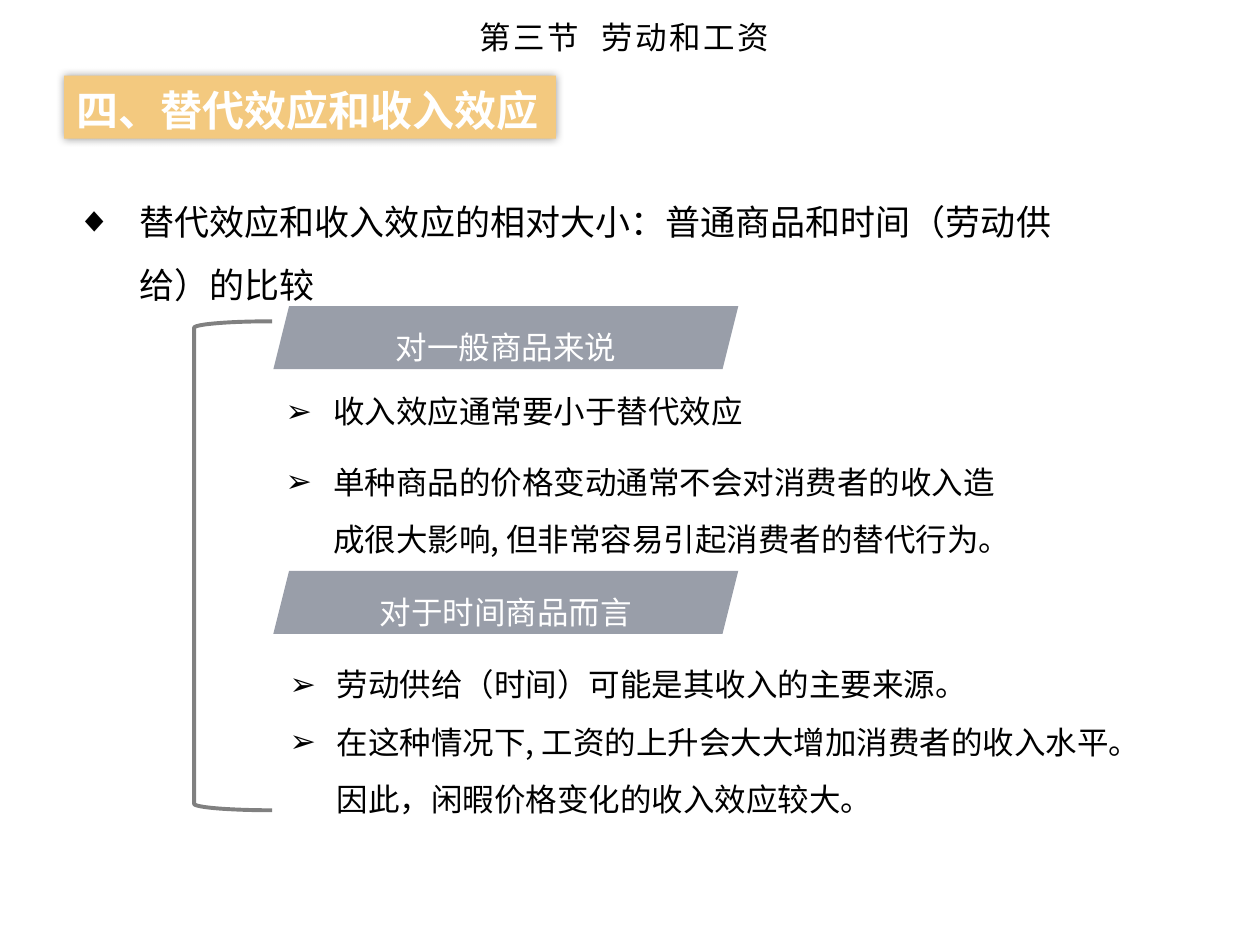
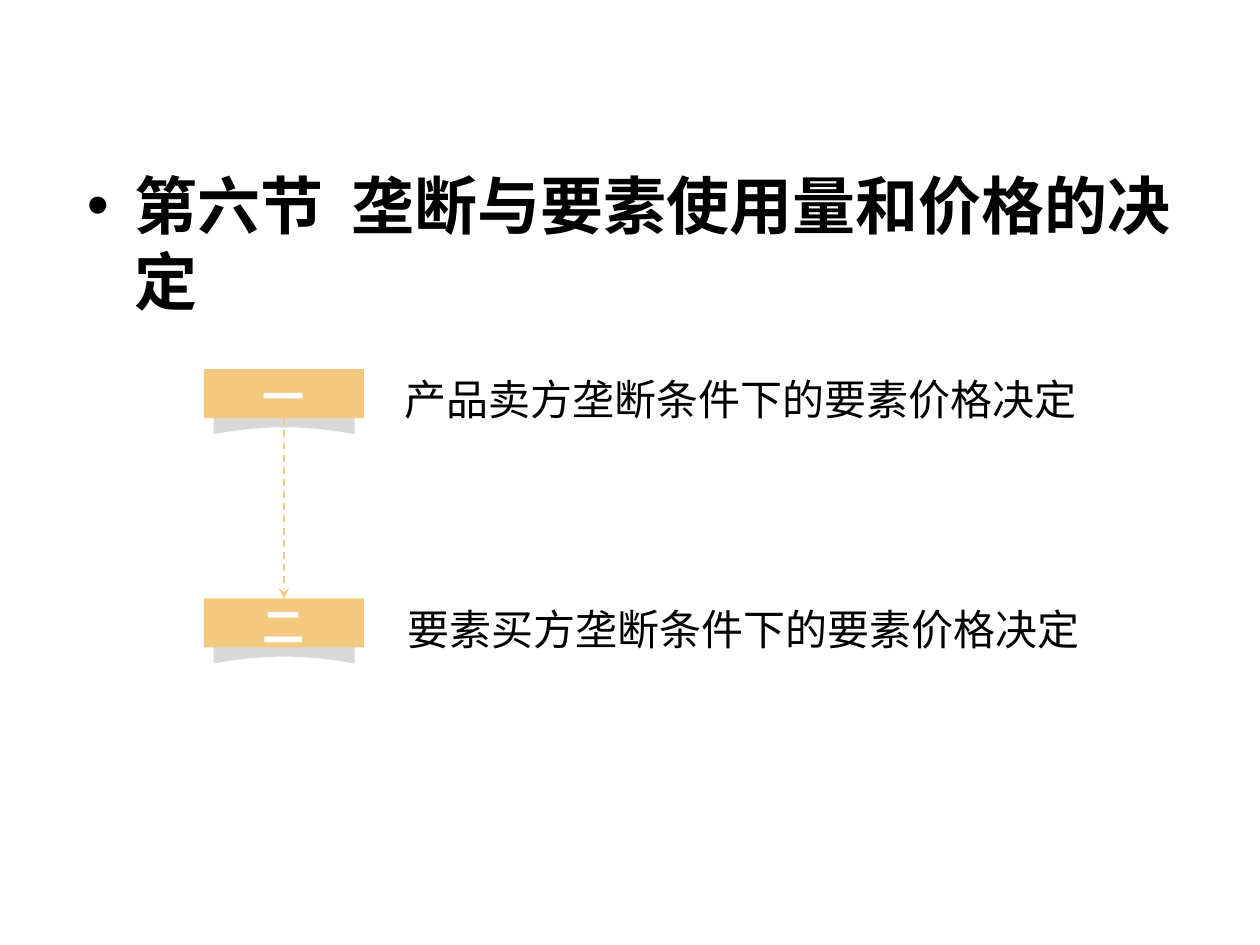
import pptx
import pptx.util
import pptx.dml.color
import pptx.enum.dml
import pptx.enum.shapes
import pptx.enum.text
import pptx.oxml
import pptx.oxml.ns

Pt = pptx.util.Pt
KIND = pptx.enum.shapes.MSO_SHAPE
ALIGN = pptx.enum.text.PP_ALIGN
FONT = "Noto Sans CJK SC"
HUE = {"gold": "F3C97F", "slate": "999EA9", "gray": "808080",
       "fold": "D9D9D9", "black": "000000", "white": "FFFFFF"}
LEAD = 1.21  # line height per point of type

# Content
WAGES = "第三节  劳动和工资"
BANNER = "四、替代效应和收入效应"
POINT = "替代效应和收入效应的相对大小：普通商品和时间（劳动供给）的比较"
# heading, its top, list box, right inset, space before, list items
GROUPS = [
    ("对一般商品来说", 175, (156.2, 219, 430, 99), 7.2, 7.4,
     ["收入效应通常要小于替代效应",
      "单种商品的价格变动通常不会对消费者的收入造成很大影响, "
      "但非常容易引起消费者的替代行为。"]),
    ("对于时间商品而言", 326.2, (158.4, 375, 506, 117), 27, 0,
     ["劳动供给（时间）可能是其收入的主要来源。",
      "在这种情况下, 工资的上升会大大增加消费者的收入水平。"
      "因此，闲暇价格变化的收入效应较大。"]),
]
POWER = "第六节  垄断与要素使用量和价格的决定"
# number, its top, text, text left
STEPS = [("一", 211, "产品卖方垄断条件下的要素价格决定", 224),
         ("二", 342, "要素买方垄断条件下的要素价格决定", 226)]
TAG = (116.6, 91.4, 28)  # left, width, height of a number tag


def rgb(name):
    return pptx.dml.color.RGBColor.from_string(HUE[name])


def xml(tag, inner="", **attrs):
    """Make one drawing element."""
    text = "".join(f' {k}="{v}"' for k, v in attrs.items())
    space = pptx.oxml.ns.nsdecls("a")
    return pptx.oxml.parse_xml(f"<a:{tag} {space}{text}>{inner}</a:{tag}>")


def place(shape, box):
    shape.left, shape.top, shape.width, shape.height = map(Pt, box)


def write(shape, items, size, hue="black", bold=False, align=ALIGN.LEFT,
          top=5, left=7.2, right=7.2, wrap=True, mark=None, hang=0,
          wide=(1,), gap=0, track=0):
    """Fill a shape with paragraphs; wide holds a line factor for each."""
    frame = shape.text_frame
    frame.auto_size = pptx.enum.text.MSO_AUTO_SIZE.NONE
    frame.word_wrap = wrap
    frame.vertical_anchor = pptx.enum.text.MSO_ANCHOR.TOP
    frame.margin_left, frame.margin_right = Pt(left), Pt(right)
    frame.margin_top, frame.margin_bottom = Pt(top), Pt(0)
    for i, (text, factor) in enumerate(zip(items, wide)):
        para = frame.paragraphs[0] if i == 0 else frame.add_paragraph()
        if mark:
            props = para._p.get_or_add_pPr()
            props.set("marL", str(Pt(hang)))
            props.set("indent", str(-Pt(hang)))
            props.append(xml("buFont", typeface="Arial"))
            props.append(xml("buChar", char=mark))
        para.alignment = align
        para.line_spacing = Pt(round(size * LEAD * factor, 1))
        para.space_before = Pt(gap if i else 0)
        run = para.add_run()
        run.text = text
        font = run.font
        font.name, font.size, font.bold = FONT, Pt(size), bold
        font.color.rgb = rgb(hue)
        rpr = run._r.get_or_add_rPr()
        rpr.append(xml("ea", typeface=FONT))
        if track:
            rpr.set("spc", str(int(track * 100)))


def label(slide, box, items, size, **look):
    shape = slide.shapes.add_textbox(*map(Pt, box))
    write(shape, items, size, **look)


def paint(shape, hue):
    shape.shadow.inherit = False
    shape.fill.solid()
    shape.fill.fore_color.rgb = rgb(hue)
    shape.line.fill.background()


def block(slide, kind, box, hue, text, size, **look):
    shape = slide.shapes.add_shape(kind, *map(Pt, box))
    paint(shape, hue)
    write(shape, [text], size, hue="white", **look)
    return shape


def head(deck, box, text, size, **look):
    """Add a slide and set its title."""
    slide = deck.slides.add_slide(deck.slide_layouts[5])
    place(slide.shapes.title, box)
    write(slide.shapes.title, [text], size, **look)
    return slide


def fold(slide, y):
    """Draw the curved paper fold under a tag with its top at y."""
    left, width, height = TAG
    mid, half, base = left + width / 2, 40.3, y + height
    steps = [1 - i / 10 for i in range(21)]
    arc = [(mid + u * half, base + 9.2 - 4 * (1 - u * u)) for u in steps]
    roof = [(mid - half, base - 1.2), (mid, base - 4.2),
            (mid + half, base - 1.2)]
    points = [(Pt(a), Pt(b)) for a, b in arc + roof]
    pen = slide.shapes.build_freeform(*points[0])
    pen.add_line_segments(points[1:], close=True)
    paint(pen.convert_to_shape(), "fold")


def effects(deck):
    slide = head(deck, (82, 0, 648, 34), WAGES, 18,
                 top=10.3, left=192, track=1.5)
    label(slide, (36.7, 97.2, 607, 79), [POINT], 20,
          mark="◆", hang=36, wide=(1.5,))

    # Banner with a soft glow of shadow
    banner = block(slide, KIND.RECTANGLE, (36.7, 43.2, 281, 36), "gold",
                   BANNER, 24, bold=True, wrap=False)
    tint = '<a:srgbClr val="000000"><a:alpha val="40000"/></a:srgbClr>'
    glow = xml("outerShdw", tint, blurRad=Pt(5), dist=0, dir=0)
    banner._element.spPr.find(pptx.oxml.ns.qn("a:effectLst")).append(glow)

    # Bracket that joins both groups
    brace = slide.shapes.add_shape(
        KIND.LEFT_BRACKET, *map(Pt, (110.9, 183.6, 44.6, 279.4)))
    brace.shadow.inherit = False
    brace.fill.background()
    brace.line.color.rgb = rgb("gray")
    brace.line.width = Pt(2.25)

    for name, y, box, right, gap, items in GROUPS:
        block(slide, KIND.PARALLELOGRAM, (156.2, y, 265.7, 36), "slate",
              name, 18, align=ALIGN.CENTER, top=9)
        label(slide, box, items, 18, right=right, mark="➢", hang=27,
              wide=(1, 1.5), gap=gap)


def market(deck):
    slide = head(deck, (42.5, 89.3, 648, 57), POWER, 36,
                 bold=True, mark="•", hang=27, top=5.5)
    left, width, height = TAG
    for mark, y, text, x in STEPS:
        fold(slide, y)
        block(slide, KIND.RECTANGLE, (left, y, width, height), "gold", mark,
              24, bold=True, align=ALIGN.CENTER, top=0.7, track=1.5)
        label(slide, (x, y - 4, 404, 36), [text], 24, top=6.4, wrap=False)

    # Dashed arrow from the first tag to the second
    mid = left + width / 2
    ends = (mid, STEPS[0][1] + height, mid, STEPS[1][1])
    arrow = slide.shapes.add_connector(
        pptx.enum.shapes.MSO_CONNECTOR.STRAIGHT, *map(Pt, ends))
    arrow.line.color.rgb = rgb("gold")
    arrow.line.width = Pt(1)
    arrow.line.dash_style = pptx.enum.dml.MSO_LINE.DASH
    arrow.line._get_or_add_ln().append(xml("tailEnd", type="stealth"))
    arrow._element.spPr.append(xml("effectLst"))


def main():
    deck = pptx.Presentation()
    deck.slide_width, deck.slide_height = Pt(720), Pt(540)
    effects(deck)
    market(deck)
    deck.save("out.pptx")


if __name__ == "__main__":
    main()
